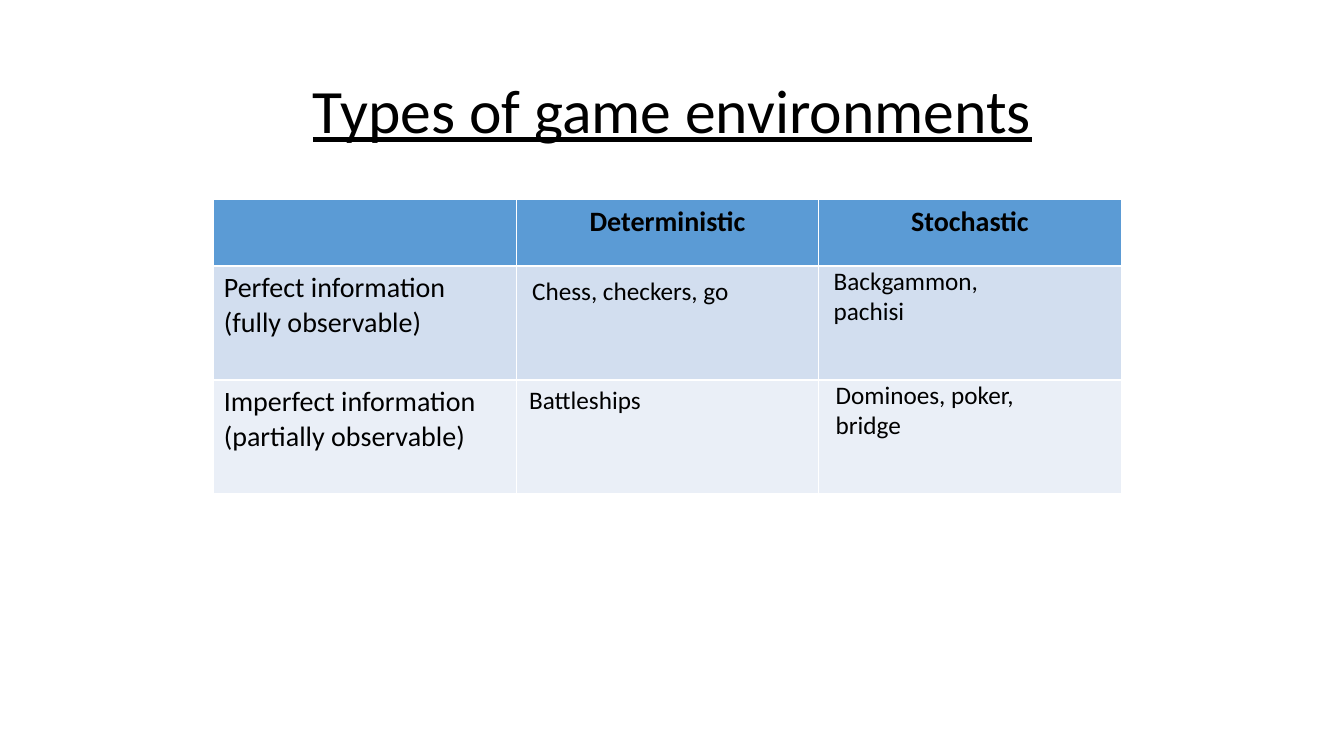
from pptx import Presentation
from pptx.dml.color import RGBColor
from pptx.enum.text import MSO_ANCHOR, MSO_AUTO_SIZE, PP_ALIGN
from pptx.util import Inches, Pt

COLORS = {"text": "000000", "header": "5B9BD5", "perfect": "D2DEEF", "imperfect": "EAEFF7"}
FONT = "Calibri"
GRID_LEFT, GRID_TOP, COLUMN = 2.12, 1.98, 3
ROWS = [0.66, 1.13, 1.13]
ROW_FILLS = ["header", "perfect", "imperfect"]
LABELS = [
    ["", "Deterministic", "Stochastic"],
    ["Perfect information\v(fully observable)", "", ""],
    ["Imperfect information\n(partially observable)", "", ""],
]
GAMES = [
    ("Chess, checkers, go", 1, 1, 0.06, 0.04, 2.17, 0.4, False),
    ("Backgammon, pachisi", 1, 2, 0.05, -0.06, 2.07, 0.71, True),
    ("Battleships", 2, 1, 0.03, -0.01, 1.33, 0.4, False),
    ("Dominoes, poker, bridge", 2, 2, 0.07, -0.06, 2.06, 0.71, True),
]


def color(role):
    return RGBColor.from_string(COLORS[role])


def style(paragraph, size, bold=False):
    font = paragraph.font
    font.name, font.size, font.bold = FONT, Pt(size), bold
    font.color.rgb = color("text")


def add_heading(slide, text):
    heading = slide.shapes.title
    heading.left, heading.top = Inches(0.92), Inches(0.4)
    heading.width, heading.height = Inches(11.5), Inches(1.45)
    heading.text_frame.text = text
    heading.text_frame.vertical_anchor = MSO_ANCHOR.MIDDLE
    paragraph = heading.text_frame.paragraphs[0]
    paragraph.alignment = PP_ALIGN.CENTER
    paragraph.line_spacing = 0.9
    style(paragraph, 44)
    paragraph.font.underline = True


def add_environment_table(slide):
    columns = len(LABELS[0])
    environments = slide.shapes.add_table(
        len(ROWS), columns, Inches(GRID_LEFT), Inches(GRID_TOP),
        Inches(COLUMN * columns), Inches(sum(ROWS))).table
    for row, (height, labels, fill) in enumerate(zip(ROWS, LABELS, ROW_FILLS)):
        environments.rows[row].height = Inches(height)
        for column, label in enumerate(labels):
            cell = environments.cell(row, column)
            cell.fill.solid()
            cell.fill.fore_color.rgb = color(fill)
            cell.text = label
            for paragraph in cell.text_frame.paragraphs:
                style(paragraph, 20, bold=row == 0)
                if row == 0:
                    paragraph.alignment = PP_ALIGN.CENTER


def add_games(slide, text, row, column, indent, drop, width, height, wrap):
    left = GRID_LEFT + column * COLUMN + indent
    top = GRID_TOP + sum(ROWS[:row]) + drop
    games = slide.shapes.add_textbox(
        Inches(left), Inches(top), Inches(width), Inches(height)).text_frame
    games.word_wrap = wrap
    games.auto_size = MSO_AUTO_SIZE.SHAPE_TO_FIT_TEXT
    games.text = text
    style(games.paragraphs[0], 18)


def main():
    deck = Presentation()
    deck.slide_width, deck.slide_height = Inches(13.33), Inches(7.5)
    slide = deck.slides.add_slide(deck.slide_layouts[5])
    add_heading(slide, "Types of game environments")
    add_environment_table(slide)
    for entry in GAMES:
        add_games(slide, *entry)
    deck.save("out.pptx")


if __name__ == "__main__":
    main()
